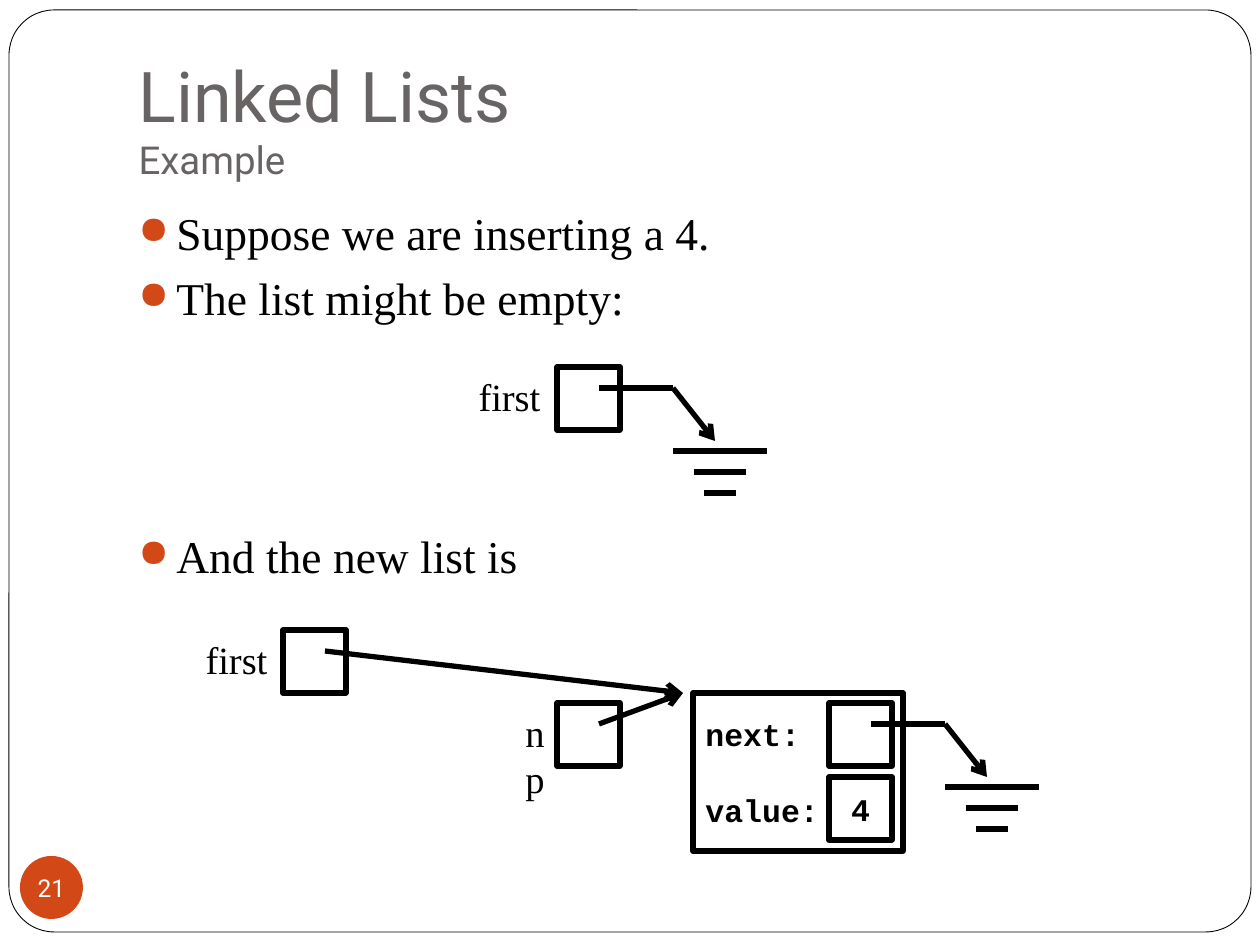
from lxml.etree import SubElement
from pptx import Presentation
from pptx.dml.color import RGBColor
from pptx.enum.shapes import MSO_CONNECTOR, MSO_SHAPE
from pptx.enum.text import MSO_ANCHOR, PP_ALIGN
from pptx.oxml.ns import qn
from pptx.util import Pt

TITLE = [("Linked Lists", 40), ("Example", 22)]
BULLETS = [
    ("Suppose we are inserting a 4.", 5.8),
    ("The list might be empty:", 5.8),
    ("And the new list is", 116.5),
]
CELL = 63
DIAGRAMS = [
    {
        "cells": [(557, 367, CELL, CELL, [])],
        "labels": [("first", 462, 367, 95, PP_ALIGN.CENTER)],
        "pointers": [],
        "ground": (673, 388),
    },
    {
        "cells": [
            (283, 630, CELL, CELL, []),
            (829, 703, CELL, CELL, []),
            (693, 693, 210, 158, ["next:", "value:"]),
            (557, 703, CELL, CELL, []),
            (829, 777, CELL, CELL, ["4"]),
        ],
        "labels": [
            ("first", 189, 630, 95, PP_ALIGN.CENTER),
            ("np", 494, 703, CELL, PP_ALIGN.RIGHT),
        ],
        "pointers": [(599, 724, 683, 693), (325, 651, 683, 693)],
        "ground": (945, 724),
    },
]
GROUND_BARS = [(0, 94), (21, 52), (31, 32)]
SERIF, SANS, MONO = "Times New Roman", "Roboto", "Courier New"
BLACK, WHITE, GREY, ORANGE = "000000", "FFFFFF", "696464", "D34817"


def px(value):
    return round(value * 914400 / 126)


def color(hex_code):
    return RGBColor.from_string(hex_code)


def write(paragraph, text, size, font, hue=BLACK, bold=False, align=PP_ALIGN.LEFT, before=0):
    paragraph.alignment = align
    paragraph.space_before = Pt(before)
    run = paragraph.add_run()
    run.text = text
    run.font.size = Pt(size)
    run.font.name = font
    run.font.bold = bold
    run.font.color.rgb = color(hue)


def next_paragraph(frame, index):
    return frame.add_paragraph() if index else frame.paragraphs[0]


def outline(shapes, kind, box, fill=None, line=None, width=3):
    shape = shapes.add_shape(kind, *map(px, box))
    shape.shadow.inherit = False
    if fill:
        shape.fill.solid()
        shape.fill.fore_color.rgb = color(fill)
    else:
        shape.fill.background()
    if line:
        shape.line.color.rgb = color(line)
        shape.line.width = Pt(width)
    else:
        shape.line.fill.background()
    return shape


def text_box(shapes, box):
    frame = shapes.add_textbox(*map(px, box)).text_frame
    frame.word_wrap = True
    return frame


def stroke(shapes, x1, y1, x2, y2, arrow=False):
    link = shapes.add_connector(MSO_CONNECTOR.STRAIGHT, *map(px, (x1, y1, x2, y2)))
    link.line.color.rgb = color(BLACK)
    link.line.width = Pt(3)
    if arrow:
        SubElement(link.line._get_or_add_ln(), qn("a:tailEnd"), type="arrow")
    SubElement(link._element.spPr, qn("a:effectLst"))


def add_bullet(paragraph):
    props = paragraph._p.get_or_add_pPr()
    props.set("marL", str(px(38)))
    props.set("indent", str(-px(38)))
    SubElement(SubElement(props, qn("a:buClr")), qn("a:srgbClr"), val=ORANGE)
    SubElement(props, qn("a:buSzPct"), val="85000")
    SubElement(props, qn("a:buChar"), char="●")


def draw_ground(shapes, x, y):
    stroke(shapes, x - 74, y, x, y)
    stroke(shapes, x, y, x + 42, y + 53, arrow=True)
    for row, (inset, length) in enumerate(GROUND_BARS):
        level = y + 63 + 21 * row
        stroke(shapes, x + inset, level, x + inset + length, level)


def draw_diagram(shapes, cells, labels, pointers, ground):
    for left, top, width, height, words in cells:
        cell = outline(shapes, MSO_SHAPE.RECTANGLE, (left, top, width, height), line=BLACK)
        frame = cell.text_frame
        frame.vertical_anchor = MSO_ANCHOR.MIDDLE
        align = PP_ALIGN.CENTER if width == CELL else PP_ALIGN.LEFT
        for index, word in enumerate(words):
            write(next_paragraph(frame, index), word, 18, MONO, bold=True,
                  align=align, before=22 * index)
    for word, left, top, width, align in labels:
        frame = text_box(shapes, (left, top, width, 59))
        write(frame.paragraphs[0], word, 22, SERIF, align=align)
    for pointer in pointers:
        stroke(shapes, *pointer, arrow=True)
    draw_ground(shapes, *ground)


deck = Presentation()
deck.slide_width, deck.slide_height = px(1260), px(945)
slide = deck.slides.add_slide(deck.slide_layouts[5])

border = outline(slide.shapes, MSO_SHAPE.ROUNDED_RECTANGLE, (9, 10, 1242, 922), WHITE, BLACK, 0.5)
border.adjustments[0] = 0.049
title = slide.shapes.title
slide.shapes._spTree.append(title._element)
title.left, title.top, title.width, title.height = map(px, (126, 38, 1071, 157))
heading = title.text_frame
heading.vertical_anchor = MSO_ANCHOR.BOTTOM
heading.margin_bottom = px(12.6)
for index, (words, size) in enumerate(TITLE):
    if index:
        heading.paragraphs[0].add_line_break()
    write(heading.paragraphs[0], words, size, SANS, GREY)

badge = outline(slide.shapes, MSO_SHAPE.OVAL, (20, 856, CELL, CELL), ORANGE).text_frame
badge.margin_left = badge.margin_right = badge.margin_top = badge.margin_bottom = 0
badge.word_wrap = False
badge.vertical_anchor = MSO_ANCHOR.MIDDLE
write(badge.paragraphs[0], "21", 14, SANS, WHITE, align=PP_ALIGN.CENTER)

body = text_box(slide.shapes, (126, 199, 1071, 651))
for index, (sentence, gap) in enumerate(BULLETS):
    paragraph = next_paragraph(body, index)
    write(paragraph, sentence, 26, SERIF, before=gap)
    add_bullet(paragraph)

for diagram in DIAGRAMS:
    draw_diagram(slide.shapes.add_group_shape().shapes, **diagram)

deck.save("out.pptx")
